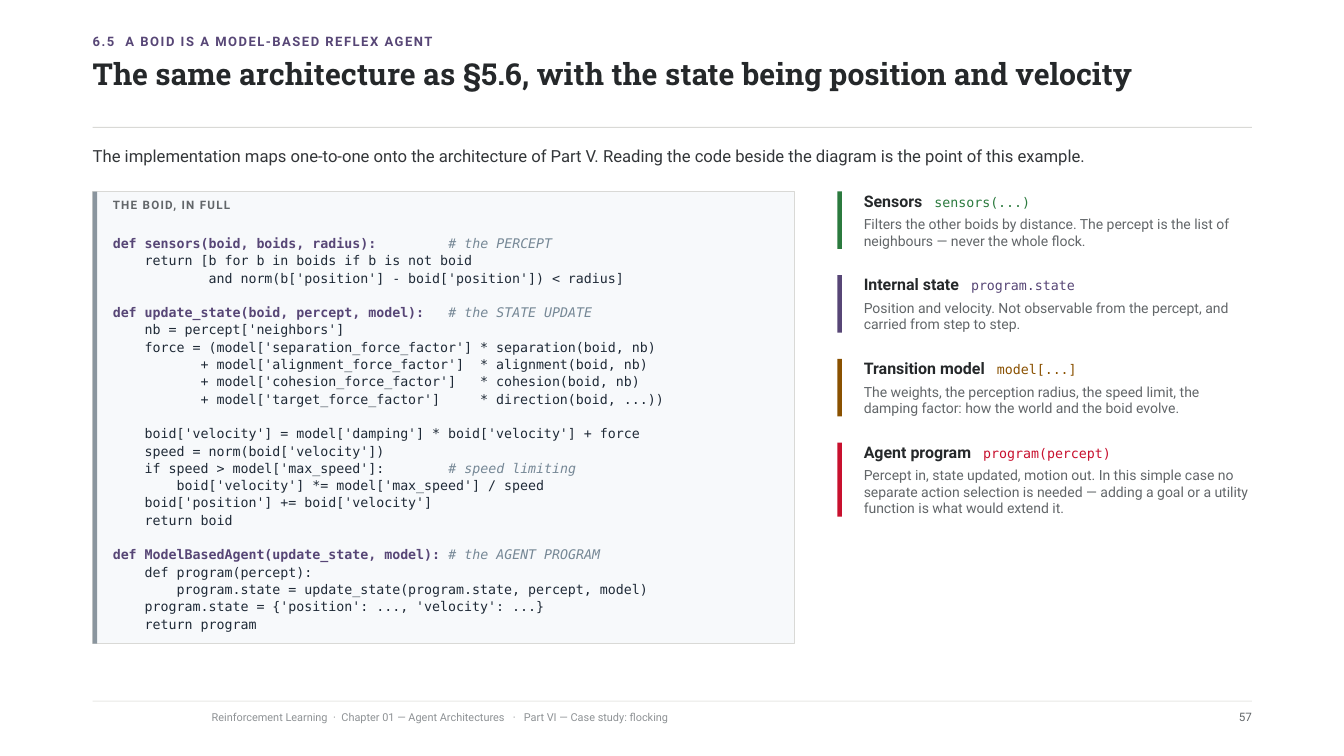
"""Build the slide that maps the boid code onto the model-based reflex agent."""
from dataclasses import dataclass, replace

from pptx import Presentation as new_presentation
from pptx.dml.color import RGBColor as Color
from pptx.enum.shapes import MSO_AUTO_SHAPE_TYPE as ShapeType
from pptx.enum.text import MSO_AUTO_SIZE as AutoSize, PP_ALIGN as Align
from pptx.slide import Slide
from pptx.util import Pt


@dataclass(frozen=True)
class Theme:
    """Fonts, colours and type sizes of the slide."""
    sans: str = "Roboto"
    slab: str = "Roboto Slab"
    mono: str = "DejaVu Sans Mono"
    ink: str = "25282A"
    body: str = "333639"
    muted: str = "626669"
    faint: str = "8E9295"
    rule: str = "D9D9D6"
    footer_rule: str = "E9E9E6"
    panel: str = "F7F9FB"
    panel_edge: str = "8A959E"
    code: str = "1F2A37"
    comment: str = "768896"
    purple: str = "574676"
    green: str = "2B7A3E"
    brown: str = "8A5100"
    red: str = "C8102E"
    title_size: float = 21.6
    lead_size: float = 11.9
    card_size: float = 11.4
    note_size: float = 10
    code_size: float = 9.5
    eyebrow_size: float = 9.3
    label_size: float = 8.3
    footer_size: float = 7.8


THEME = Theme()


@dataclass(frozen=True)
class Run:
    """A stretch of text in one format."""
    text: str
    size: float
    color: str
    font: str = THEME.sans
    bold: bool = False
    italic: bool = False
    tracking: float = 0


@dataclass(frozen=True)
class Line:
    """A paragraph with its exact line height and the space before it."""
    runs: list[Run]
    height: float
    before: float = 0


@dataclass(frozen=True)
class Box:
    """A rectangle in points."""
    left: float
    top: float
    width: float
    height: float


@dataclass(frozen=True)
class Card:
    """One part of the agent, with the code that implements it."""
    name: str
    code: str
    note: str
    color: str
    note_lines: int = 2


LEFT, WIDTH = 66.24, 828
PANEL = Box(LEFT, 136.8, 501.6, 323)
CARD_LEFT, CARD_PITCH, BAR_WIDTH = 598.2, 59.8, 3.2
CARD_HEAD, NOTE_HEIGHT, NOTE_GAP = 13.4, 11.8, 4
CODE_HEIGHT = 12.35

SENSORS_CODE = """\
def sensors(boid, boids, radius):         # the PERCEPT
    return [b for b in boids if b is not boid
            and norm(b['position'] - boid['position']) < radius]"""
FORCE_CODE = """\
def update_state(boid, percept, model):   # the STATE UPDATE
    nb = percept['neighbors']
    force = (model['separation_force_factor'] * separation(boid, nb)
           + model['alignment_force_factor']  * alignment(boid, nb)
           + model['cohesion_force_factor']   * cohesion(boid, nb)
           + model['target_force_factor']     * direction(boid, ...))"""
MOTION_CODE = """\
    boid['velocity'] = model['damping'] * boid['velocity'] + force
    speed = norm(boid['velocity'])
    if speed > model['max_speed']:        # speed limiting
        boid['velocity'] *= model['max_speed'] / speed
    boid['position'] += boid['velocity']
    return boid"""
AGENT_CODE = """\
def ModelBasedAgent(update_state, model): # the AGENT PROGRAM
    def program(percept):
        program.state = update_state(program.state, percept, model)
    program.state = {'position': ..., 'velocity': ...}
    return program"""
CODE_BLOCKS = [SENSORS_CODE, FORCE_CODE, MOTION_CODE, AGENT_CODE]

CARDS = [
    Card("Sensors", "sensors(...)",
         "Filters the other boids by distance. The percept is the list of "
         "neighbours — never the whole flock.", THEME.green),
    Card("Internal state", "program.state",
         "Position and velocity. Not observable from the percept, and "
         "carried from step to step.", THEME.purple),
    Card("Transition model", "model[...]",
         "The weights, the perception radius, the speed limit, the damping "
         "factor: how the world and the boid evolve.", THEME.brown),
    Card("Agent program", "program(percept)",
         "Percept in, state updated, motion out. In this simple case no separate action selection "
         "is needed — adding a goal or a utility function is what would extend it.", THEME.red, 3),
]


def add_text(slide: Slide, box: Box, lines: list[Line], *,
             align: Align = Align.LEFT, wrap: bool = True) -> None:
    """Add a text box without margins that holds the given lines."""
    shape = slide.shapes.add_textbox(Pt(box.left), Pt(box.top), Pt(box.width), Pt(box.height))
    frame = shape.text_frame
    frame.word_wrap = wrap
    frame.auto_size = AutoSize.NONE
    frame.margin_left = frame.margin_right = Pt(0)
    frame.margin_top = frame.margin_bottom = Pt(0)
    for index, line in enumerate(lines):
        paragraph = frame.add_paragraph() if index else frame.paragraphs[0]
        paragraph.alignment = align
        paragraph.line_spacing = Pt(line.height)
        paragraph.space_before = Pt(line.before)
        for part in line.runs:
            run = paragraph.add_run()
            run.text = part.text
            font = run.font
            font.name, font.size = part.font, Pt(part.size)
            font.bold, font.italic = part.bold, part.italic
            font.color.rgb = Color.from_string(part.color)
            if part.tracking:
                run._r.get_or_add_rPr().set("spc", str(round(part.tracking * 100)))


def add_block(slide: Slide, box: Box, fill: str, outline: str = "") -> None:
    """Add a flat rectangle, outlined when a line colour is given."""
    shape = slide.shapes.add_shape(
        ShapeType.RECTANGLE, Pt(box.left), Pt(box.top), Pt(box.width), Pt(box.height))
    shape.shadow.inherit = False
    shape.fill.solid()
    shape.fill.fore_color.rgb = Color.from_string(fill)
    if outline:
        shape.line.color.rgb = Color.from_string(outline)
        shape.line.width = Pt(0.75)
    else:
        shape.line.fill.background()


def spaced(style: Run, *parts: str | float) -> list[Run]:
    """Turn strings into runs and numbers into spaces widened by that many points."""
    return [replace(style, text=part) if isinstance(part, str)
            else replace(style, text=" ", tracking=part) for part in parts]


def code_line(text: str, before: float) -> Line:
    """Colour one line of code and its comment."""
    code, mark, comment = text.partition("#")
    heading = text.startswith("def ")
    color = THEME.purple if heading else THEME.code
    runs = [Run(code, THEME.code_size, color, THEME.mono, bold=heading)]
    if mark:
        runs.append(Run(mark + comment, THEME.code_size, THEME.comment, THEME.mono, italic=True))
    return Line(runs, CODE_HEIGHT, before)


def add_frame(slide: Slide) -> None:
    """Add the heading, the rules, the lead sentence and the footer."""
    eyebrow = Run("", THEME.eyebrow_size, THEME.purple, bold=True, tracking=1.1)
    add_text(slide, Box(LEFT, 25.9, WIDTH, 16), [Line(
        spaced(eyebrow, "6.5", 4.5, "A BOID IS A MODEL-BASED REFLEX AGENT"), 9.3)])
    title = "The same architecture as §5.6, with the state being position and velocity"
    add_text(slide, Box(LEFT, 43.2, WIDTH, 37.4), [Line(
        [Run(title, THEME.title_size, THEME.ink, THEME.slab, bold=True)], 22.5)])
    add_block(slide, Box(LEFT, 90.7, WIDTH, 0.75), THEME.rule)
    add_block(slide, Box(LEFT, 500.4, WIDTH, 0.75), THEME.footer_rule)
    footer = spaced(Run("", THEME.footer_size, THEME.faint),
                    "Reinforcement Learning", 1.93, "·", 1.93, "Chapter 01 — Agent Architectures",
                    3.86, "·", 3.86, "Part VI — Case study: flocking")
    add_text(slide, Box(151.2, 509, 655.2, 16), [Line(footer, 7.8)])
    number = Run("57", THEME.label_size, THEME.muted)
    add_text(slide, Box(807.84, 509, 86.4, 16), [Line([number], 8.3)], align=Align.RIGHT)
    lead = ("The implementation maps one-to-one onto the architecture of Part V. "
            "Reading the code beside the diagram is the point of this example.")
    add_text(slide, Box(LEFT, 103.7, WIDTH, 17.3),
             [Line([Run(lead, THEME.lead_size, THEME.body)], 14.5)])


def add_code_panel(slide: Slide) -> None:
    """Add the panel with the full listing."""
    add_block(slide, PANEL, THEME.panel, THEME.rule)
    add_block(slide, replace(PANEL, width=BAR_WIDTH), THEME.panel_edge)
    label = Run("THE BOID, IN FULL", THEME.label_size, THEME.muted, bold=True, tracking=0.9)
    add_text(slide, Box(80.6, 143.3, 473, 16), [Line([label], 8.3)])
    listing = [code_line(text, CODE_HEIGHT if block_index and not row else 0)
               for block_index, block in enumerate(CODE_BLOCKS)
               for row, text in enumerate(block.splitlines())]
    add_text(slide, Box(80.6, 167, 477.4, 287.3), listing, wrap=False)


def add_card(slide: Slide, card: Card, top: float) -> None:
    """Add one card with its coloured bar."""
    height = CARD_HEAD + NOTE_GAP + card.note_lines * NOTE_HEIGHT
    head = spaced(Run("", THEME.card_size, THEME.ink, bold=True), card.name, 5.7)
    head.append(Run(card.code, THEME.code_size, card.color, THEME.mono))
    note = [Run(card.note, THEME.note_size, THEME.muted)]
    add_text(slide, Box(CARD_LEFT + 18.8, top, 277.2, height + 2.9),
             [Line(head, CARD_HEAD), Line(note, NOTE_HEIGHT, NOTE_GAP)])
    add_block(slide, Box(CARD_LEFT, top, BAR_WIDTH, height), card.color)


def main() -> None:
    """Build and save the presentation."""
    presentation = new_presentation()
    presentation.slide_width, presentation.slide_height = Pt(960), Pt(540)
    slide = presentation.slides.add_slide(presentation.slide_layouts[6])
    add_frame(slide)
    add_code_panel(slide)
    for index, card in enumerate(CARDS):
        add_card(slide, card, PANEL.top + index * CARD_PITCH)
    presentation.save("out.pptx")


if __name__ == "__main__":
    main()
